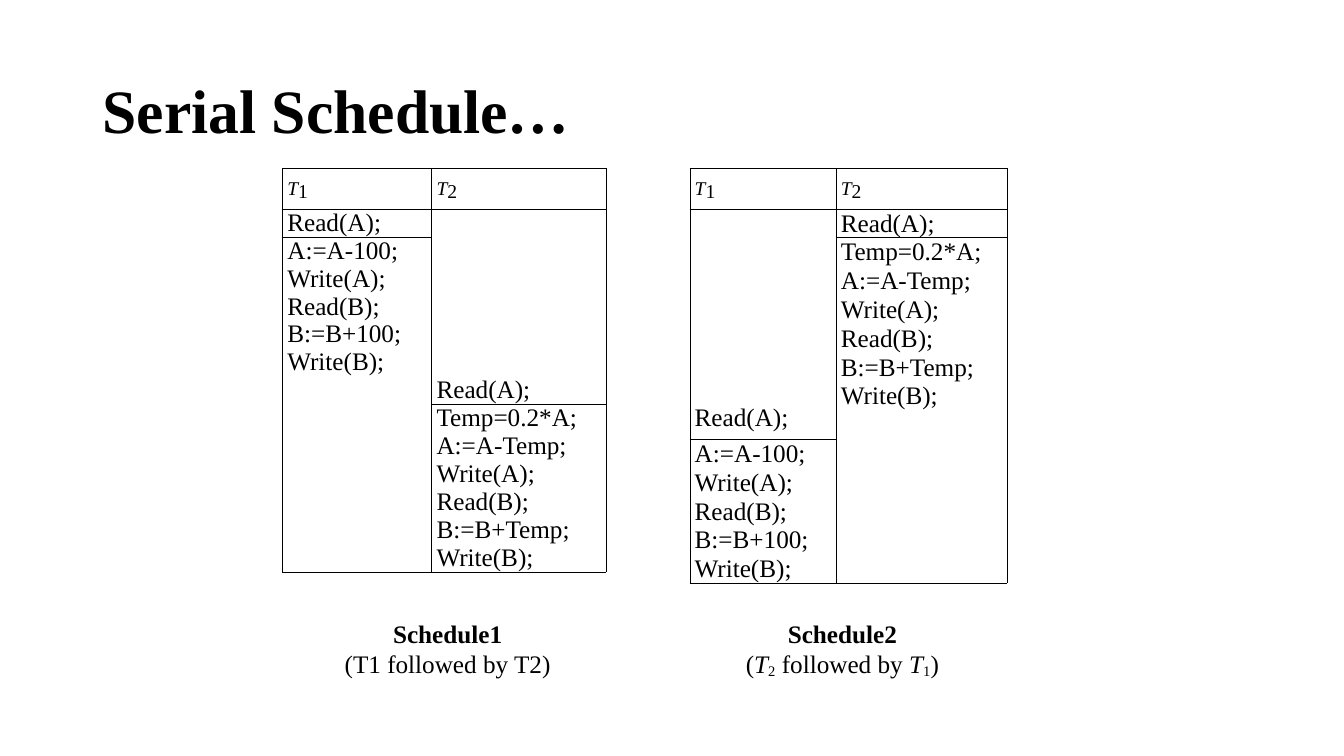
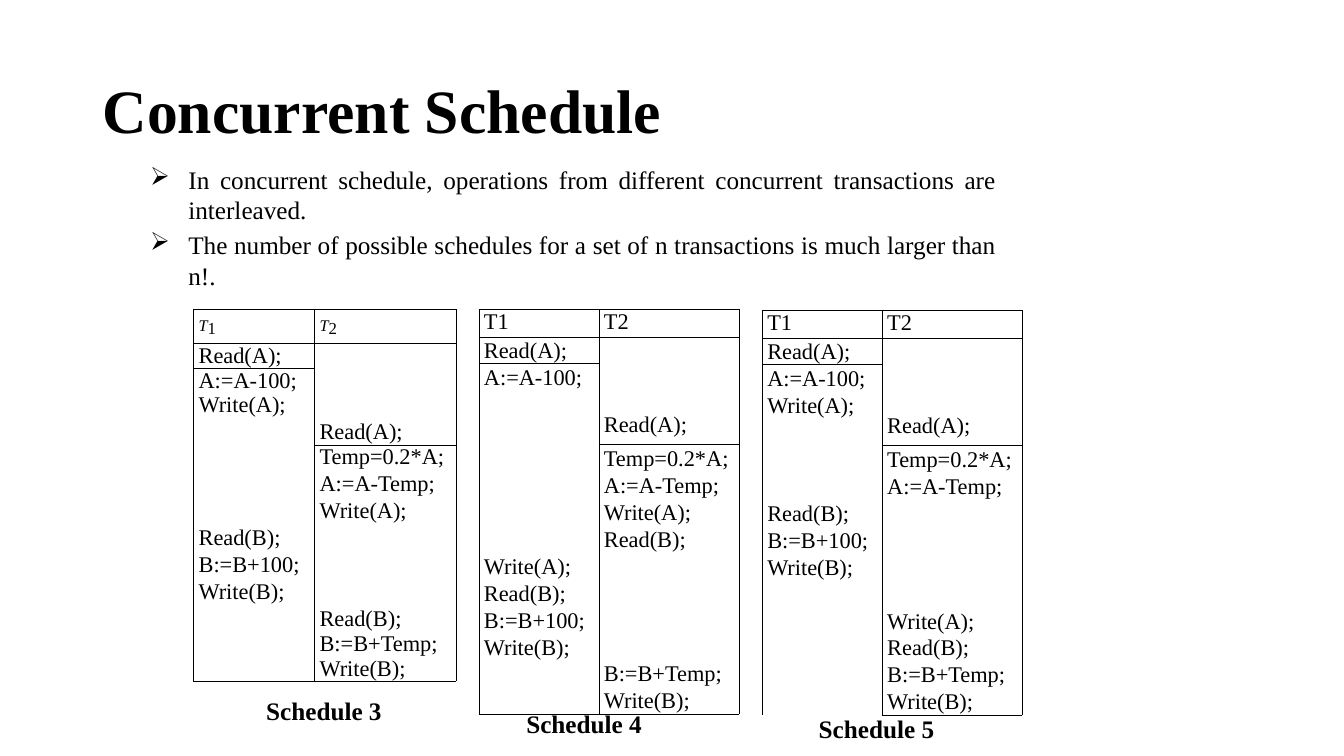
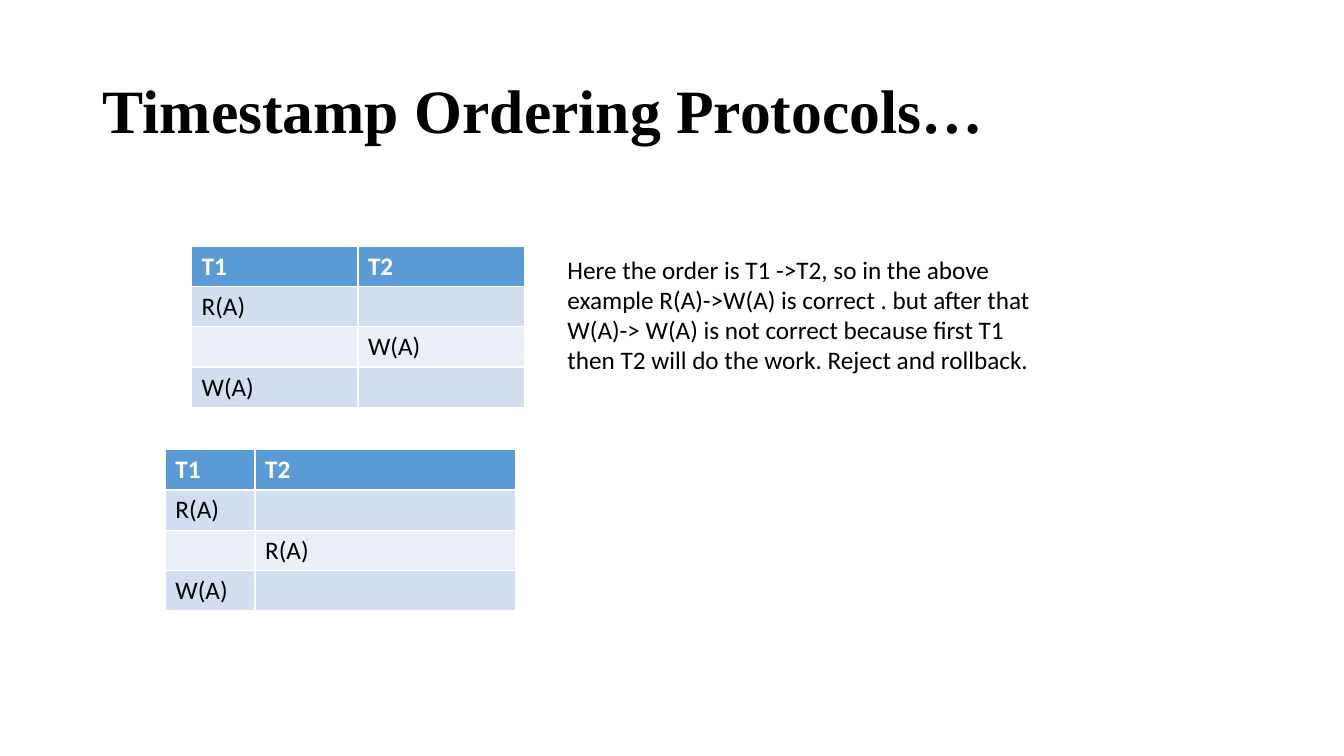
"""Build three slides on transaction schedules and timestamp ordering."""
from lxml.etree import SubElement
from pptx import Presentation
from pptx.dml.color import RGBColor
from pptx.enum.text import MSO_ANCHOR, PP_ALIGN
from pptx.oxml.ns import qn
from pptx.util import Inches, Pt

COLORS = {"text": "000000", "white": "FFFFFF", "header": "5B9BD5",
          "odd": "D2DEEF", "even": "EAEFF7"}
SERIF, SANS = "Times New Roman", "Calibri"
TITLE_BOX = (0.92, 0.4, 11.5, 1.45)
PLAIN_TABLE_STYLE = "{2D5ABB26-0587-4C30-8999-92F81FD0307C}"
BORDER_WIDTH = Pt(0.25)


def math_heads(letter_size, digit_size):
    """Return header runs with a raised italic T before each number."""
    return [[("T", {"italic": True, "size": letter_size, "baseline": 9}),
             (digit, {"size": digit_size})] for digit in "12"]


PLAIN_HEADS = [[("T1", {})], [("T2", {})]]

SERIAL_SCHEDULES = [
    {"at": (2.8, 1.67), "widths": (1.48, 1.73), "heads": math_heads(24, 14), "size": 18,
     "head_height": 0.38, "body_height": 3.6, "tall_rows": {6: 2}, "gap": 0,
     "columns": [
         ["Read(A);", "A:=A-100;", "Write(A);", "Read(B);", "B:=B+100;", ("Write(B);", 7)],
         [("Read(A);", 6), "Temp=0.2*A;", "A:=A-Temp;", "Write(A);", "Read(B);",
          "B:=B+Temp;", "Write(B);"]]},
    {"at": (6.84, 1.67), "widths": (1.45, 1.7), "heads": math_heads(24, 14), "size": 18,
     "head_height": 0.38, "body_height": 3.71, "tall_rows": {7: 2}, "gap": 0.07,
     "columns": [
         [("Read(A);", 7), "A:=A-100;", "Write(A);", "Read(B);", "B:=B+100;", "Write(B);"],
         ["Read(A);", "Temp=0.2*A;", "A:=A-Temp;", "Write(A);", "Read(B);", "B:=B+Temp;",
          ("Write(B);", 6)]]},
]
CONCURRENT_SCHEDULES = [
    {"at": (1.92, 3.07), "widths": (1.2, 1.4), "heads": math_heads(20, 12), "size": 16,
     "head_height": 0.31, "body_height": 3.21, "tall_rows": {}, "gap": 0,
     "columns": [
         ["Read(A);", "A:=A-100;", "Write(A);", "", "", "", "", "Read(B);", "B:=B+100;",
          ("Write(B);", 4)],
         [("Read(A);", 4), "Temp=0.2*A;", "A:=A-Temp;", "Write(A);", "", "", "",
          "Read(B);", "B:=B+Temp;", "Write(B);"]]},
    {"at": (4.75, 3.07), "widths": (1.19, 1.39), "heads": PLAIN_HEADS, "size": 16,
     "head_height": 0.27, "body_height": 3.74, "tall_rows": {3: 2}, "gap": 0.07,
     "columns": [
         ["Read(A);", "A:=A-100;", "", "", "", "", "", "Write(A);", "Read(B);",
          "B:=B+100;", ("Write(B);", 3)],
         [("Read(A);", 3), "Temp=0.2*A;", "A:=A-Temp;", "Write(A);", "Read(B);", "", "",
          "", "", "B:=B+Temp;", "Write(B);"]]},
    {"at": (7.56, 3.08), "widths": (1.19, 1.39), "heads": PLAIN_HEADS, "size": 16,
     "head_height": 0.27, "body_height": 3.74, "tall_rows": {8: 3}, "gap": 0.07,
     "columns": [
         ["Read(A);", "A:=A-100;", "Write(A);", "", "", "", "Read(B);",
          "B:=B+100;\nWrite(B);", "", "", "", ""],
         [("Read(A);", 4), "Temp=0.2*A;", "A:=A-Temp;", "", "", "Write(A);", "Read(B);",
          "B:=B+Temp;", "Write(B);"]]},
]
SUBSCRIPT, ITALIC = {"baseline": -12}, {"italic": True}
SERIAL_CAPTIONS = [
    ((3.19, 6.13, 2.5, 0.61), "Schedule1", [("(T1 followed by T2)", {})]),
    ((6.79, 6.13, 3.13, 0.61), "Schedule2",
     [("(", {}), ("T", ITALIC), ("2", SUBSCRIPT), (" followed by ", {}),
      ("T", ITALIC), ("1", SUBSCRIPT), (")", {})]),
]
CONCURRENT_CAPTIONS = [
    ((2.64, 6.9, 1.83, 0.3), "Schedule 3"),
    ((5.22, 7.03, 1.83, 0.3), "Schedule 4"),
    ((8.12, 7.08, 1.83, 0.3), "Schedule 5"),
]
CONCURRENT_POINTS = [
    "In concurrent schedule, operations from different concurrent transactions are interleaved.",
    "The number of possible schedules for a set of n transactions is much larger than n!.",
]
TIMESTAMP_TABLES = [
    ((1.9, 2.44), (1.65, 1.65), [("T1", "T2"), ("R(A)", ""), ("", "W(A)"), ("W(A)", "")]),
    ((1.64, 4.46), (0.89, 2.58), [("T1", "T2"), ("R(A)", ""), ("", "R(A)"), ("W(A)", "")]),
]
TIMESTAMP_NOTE = ("Here the order is T1 ->T2, so in the above example R(A)->W(A) is correct . "
                  "but after that W(A)-> W(A) is not correct because first T1 then T2 will do "
                  "the work. Reject and rollback.")


def color(name):
    return RGBColor.from_string(COLORS[name])


def style_font(font, size, name=SERIF, bold=False, tint="text"):
    font.size, font.name, font.bold = Pt(size), name, bold
    font.color.rgb = color(tint)


def add_runs(paragraph, runs):
    for text, style in runs:
        run = paragraph.add_run()
        run.text = text
        if "italic" in style:
            run.font.italic = True
        if "size" in style:
            run.font.size = Pt(style["size"])
        if "baseline" in style:
            run._r.get_or_add_rPr().set("baseline", str(style["baseline"] * 1000))


def add_text(slide, box, paragraphs, size=18, name=SERIF, inset=True):
    """Add a text box from (runs, bold) pairs and return its text frame."""
    frame = slide.shapes.add_textbox(*map(Inches, box)).text_frame
    frame.word_wrap = True
    if not inset:
        frame.margin_left = frame.margin_right = frame.margin_top = frame.margin_bottom = 0
    for index, (runs, bold) in enumerate(paragraphs):
        paragraph = frame.add_paragraph() if index else frame.paragraphs[0]
        style_font(paragraph.font, size, name, bold)
        add_runs(paragraph, runs)
    return frame


def add_titled_slide(presentation, title):
    slide = presentation.slides.add_slide(presentation.slide_layouts[6])
    frame = add_text(slide, TITLE_BOX, [([(title, {})], True)], size=44)
    frame.vertical_anchor = MSO_ANCHOR.MIDDLE
    frame.paragraphs[0].line_spacing = 0.9
    return slide


def add_bullets(slide, box, points):
    frame = add_text(slide, box, [([(point, {})], False) for point in points])
    for index, paragraph in enumerate(frame.paragraphs):
        paragraph.alignment = PP_ALIGN.JUSTIFY
        if index:
            paragraph.space_before = Pt(3.6)
        properties = paragraph._p.get_or_add_pPr()
        properties.set("marL", str(Inches(0.38)))
        properties.set("indent", str(-Inches(0.38)))
        bullet = properties.makeelement(qn("a:buChar"), {"char": "➢"})
        properties.find(qn("a:defRPr")).addprevious(bullet)


def add_grid(slide, at, widths, heights):
    table = slide.shapes.add_table(len(heights), len(widths), *map(Inches, at),
                                   Inches(sum(widths)), Inches(sum(heights))).table
    for column, width in zip(table.columns, widths):
        column.width = Inches(width)
    for row, height in zip(table.rows, heights):
        row.height = Inches(height)
    return table


def set_borders(cell, sides):
    properties = cell._tc.get_or_add_tcPr()
    for side in sides:
        line = SubElement(properties, qn(f"a:ln{side}"), w=str(BORDER_WIDTH))
        fill = SubElement(line, qn("a:solidFill"))
        SubElement(fill, qn("a:srgbClr"), val=COLORS["text"])


def add_schedule(slide, schedule):
    """Draw a two-transaction schedule, one column per transaction."""
    columns = [[step if isinstance(step, tuple) else (step, 1) for step in steps]
               for steps in schedule["columns"]]
    row_count = sum(span for _, span in columns[0])
    units = [schedule["tall_rows"].get(row, 1) for row in range(1, row_count + 1)]
    unit = schedule["body_height"] / sum(units)
    heights = [schedule["head_height"]] + [unit * count for count in units]
    table = add_grid(slide, schedule["at"], schedule["widths"], heights)
    table.first_row = table.horz_banding = False
    table._tbl.tblPr.find(qn("a:tableStyleId")).text = PLAIN_TABLE_STYLE

    sides = {}
    for column, steps in enumerate(columns):
        sides[0, column] = "LRTB"
        add_runs(table.cell(0, column).text_frame.paragraphs[0], schedule["heads"][column])
        row = 1
        for index, (text, span) in enumerate(steps):
            cell = table.cell(row, column)
            cell.text = text
            if span > 1:
                cell.merge(table.cell(row + span - 1, column))
            if index == 0:
                cell.vertical_anchor = MSO_ANCHOR.BOTTOM
            if index == 0 or (text and index == len(steps) - 1):
                sides[row, column] = "LRB"
            row += span

    for row in range(row_count + 1):
        for column in range(len(columns)):
            cell = table.cell(row, column)
            cell.margin_left, cell.margin_right = Inches(0.05), 0
            cell.margin_top = cell.margin_bottom = 0
            if cell.is_merge_origin and row == 1:
                cell.margin_bottom = Inches(schedule["gap"])
            set_borders(cell, sides.get((row, column), "LR"))
            cell.fill.background()
            for paragraph in cell.text_frame.paragraphs:
                style_font(paragraph.font, schedule["size"])
                if row:
                    paragraph.line_spacing = Pt(unit * 72)


def add_banded_table(slide, at, widths, rows):
    table = add_grid(slide, at, widths, [0.4] * len(rows))
    for row, texts in enumerate(rows):
        band = "header" if row == 0 else "odd" if row % 2 else "even"
        for column, text in enumerate(texts):
            cell = table.cell(row, column)
            cell.text = text
            cell.fill.solid()
            cell.fill.fore_color.rgb = color(band)
            style_font(cell.text_frame.paragraphs[0].font, 18, SANS, row == 0,
                       "text" if row else "white")


def main():
    presentation = Presentation()
    presentation.slide_width, presentation.slide_height = Inches(13.33), Inches(7.5)

    slide = add_titled_slide(presentation, "Serial Schedule…")
    for schedule in SERIAL_SCHEDULES:
        add_schedule(slide, schedule)
    for box, name, order in SERIAL_CAPTIONS:
        frame = add_text(slide, box, [([(name, {})], True), (order, False)], inset=False)
        for paragraph in frame.paragraphs:
            paragraph.alignment = PP_ALIGN.CENTER

    slide = add_titled_slide(presentation, "Concurrent Schedule")
    add_bullets(slide, (1.39, 1.58, 8.59, 1.41), CONCURRENT_POINTS)
    for schedule in CONCURRENT_SCHEDULES:
        add_schedule(slide, schedule)
    for box, name in CONCURRENT_CAPTIONS:
        add_text(slide, box, [([(name, {})], True)], inset=False)

    slide = add_titled_slide(presentation, "Timestamp Ordering Protocols…")
    for at, widths, rows in TIMESTAMP_TABLES:
        add_banded_table(slide, at, widths, rows)
    add_text(slide, (5.53, 2.47, 5.05, 1.62), [([(TIMESTAMP_NOTE, {})], False)], name=SANS)

    presentation.save("out.pptx")


if __name__ == "__main__":
    main()
